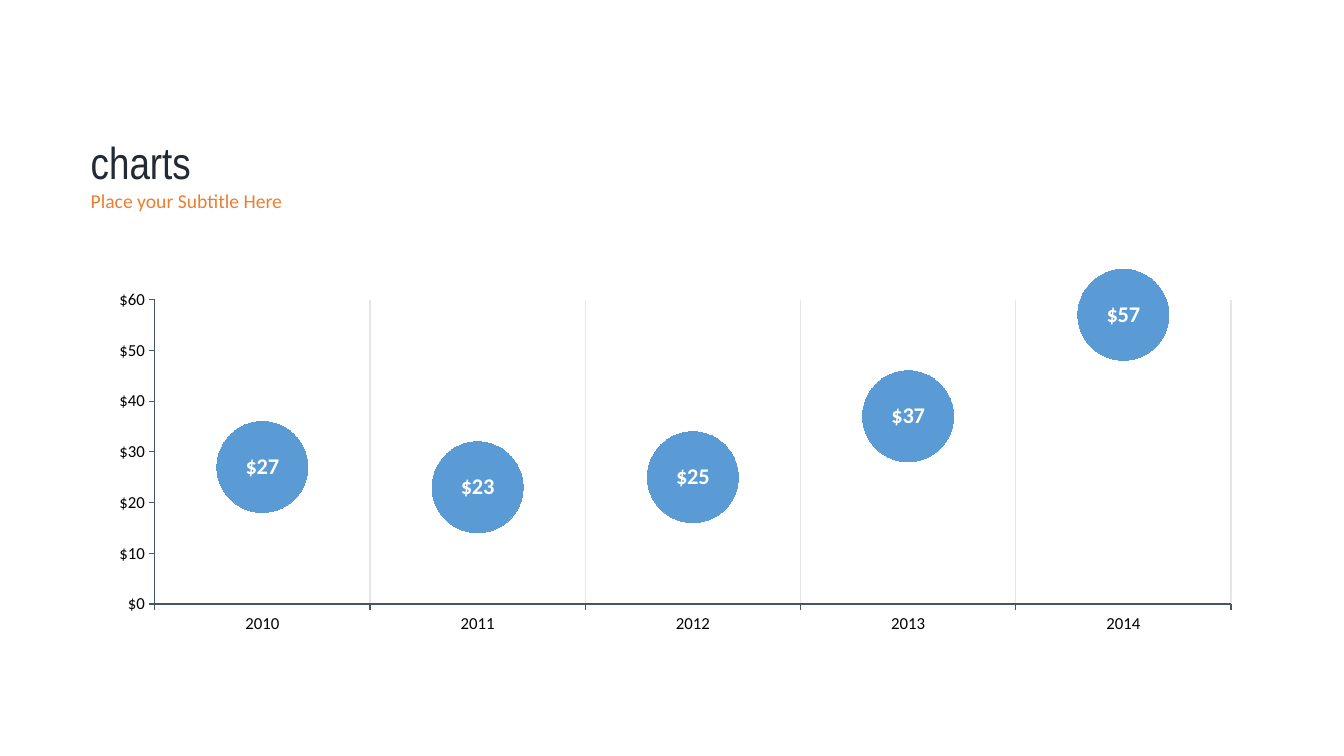
from dataclasses import dataclass

from lxml.etree import SubElement
from pptx import Presentation
from pptx.chart.data import CategoryChartData
from pptx.dml.color import RGBColor
from pptx.enum.chart import XL_CHART_TYPE as ChartType
from pptx.enum.chart import XL_LABEL_POSITION as LabelPosition
from pptx.enum.chart import XL_MARKER_STYLE as MarkerStyle
from pptx.enum.chart import XL_TICK_MARK as TickMark
from pptx.enum.text import MSO_ANCHOR as Anchor
from pptx.enum.text import MSO_AUTO_SIZE as AutoSize
from pptx.enum.text import PP_ALIGN as Align
from pptx.oxml.ns import qn
from pptx.util import Inches, Pt


@dataclass(frozen=True)
class Theme:
    heading_font: str = "Arial Narrow"
    body_font: str = "Calibri"
    heading: str = "222A35"
    accent: str = "ED7D31"
    bubble: str = "5B9BD5"
    axis: str = "44546A"
    grid: str = "E7E6E6"
    ink: str = "000000"
    paper: str = "FFFFFF"
    title_size: int = 32
    subtitle_size: int = 14
    chart_size: int = 18
    label_size: int = 16
    tick_size: int = 12
    bubble_size: int = 65
    rule: float = 0.75
    money: str = "[$$-C09]#,##0"


class SlideBuilder:
    def __init__(self, deck, theme):
        self.theme = theme
        self.width, self.height = deck.slide_width, deck.slide_height
        self.page = deck.slides.add_slide(deck.slide_layouts[0])

    def area(self, left, top, width, height):
        """Turn percentages of the slide's size into lengths."""
        return (int(self.width * left / 100), int(self.height * top / 100),
                int(self.width * width / 100), int(self.height * height / 100))

    def style(self, font, size, color, name=None, bold=False):
        font.name = name or self.theme.body_font
        font.size = Pt(size)
        font.bold = bold
        font.color.rgb = RGBColor.from_string(color)

    def rule(self, line, color):
        line.color.rgb = RGBColor.from_string(color)
        line.width = Pt(self.theme.rule)

    def heading(self, box, text, area, size, color, font_name):
        box.left, box.top, box.width, box.height = self.area(*area)
        frame = box.text_frame
        frame.word_wrap = True
        frame.auto_size = AutoSize.SHAPE_TO_FIT_TEXT
        frame.vertical_anchor = Anchor.TOP
        para = frame.paragraphs[0]
        para.alignment = Align.LEFT
        para.space_before = Pt(0)
        span = para.add_run()
        span.text = text
        self.style(span.font, size, color, font_name)

    def title(self, text, area):
        self.heading(self.page.shapes.title, text, area, self.theme.title_size,
                     self.theme.heading, self.theme.heading_font)

    def subtitle(self, text, area):
        self.heading(self.page.placeholders[1], text, area, self.theme.subtitle_size,
                     self.theme.accent, self.theme.body_font)

    def axis(self, axis):
        axis.major_tick_mark = TickMark.OUTSIDE
        axis.minor_tick_mark = TickMark.NONE
        self.style(axis.tick_labels.font, self.theme.tick_size, self.theme.ink)
        self.rule(axis.format.line, self.theme.axis)

    def bubbles(self, series):
        """Show a series as large labelled markers without a joining line."""
        series.smooth = False
        series.format.line.fill.background()
        marker = series.marker
        marker.style = MarkerStyle.CIRCLE
        marker.size = self.theme.bubble_size
        marker.format.fill.solid()
        marker.format.fill.fore_color.rgb = RGBColor.from_string(self.theme.bubble)
        marker.format.line.fill.background()
        labels = series.data_labels
        labels.show_value = True
        labels.position = LabelPosition.CENTER
        labels.number_format = self.theme.money
        labels.number_format_is_linked = False
        self.style(labels.font, self.theme.label_size, self.theme.paper, bold=True)

    def plot_area(self, chart, **shares):
        """Fix the inner plot area as shares of the chart's size."""
        plot_area = chart._chartSpace.chart.plotArea
        layout = plot_area.find(qn("c:layout"))
        if layout is None:
            layout = SubElement(plot_area, qn("c:layout"))
            plot_area.insert(0, layout)
        manual = SubElement(layout, qn("c:manualLayout"))
        settings = {"layoutTarget": "inner", "xMode": "edge", "yMode": "edge", **shares}
        for name, value in settings.items():
            SubElement(manual, qn(f"c:{name}")).set("val", str(value))

    def bubble_chart(self, name, points, area, top_value, step):
        data = CategoryChartData(number_format=self.theme.money)
        data.categories = list(points)
        data.add_series(name, list(points.values()))
        chart = self.page.shapes.add_chart(
            ChartType.LINE_MARKERS, *self.area(*area), data).chart
        chart.has_legend = False
        chart.has_title = False
        self.style(chart.font, self.theme.chart_size, self.theme.ink)
        chart.plots[0].vary_by_categories = False

        years, amounts = chart.category_axis, chart.value_axis
        for axis in (years, amounts):
            self.axis(axis)
        years.has_major_gridlines = True
        self.rule(years.major_gridlines.format.line, self.theme.grid)
        amounts.has_major_gridlines = False
        amounts.minimum_scale, amounts.maximum_scale = 0, top_value
        amounts.major_unit = step
        amounts.tick_labels.number_format = self.theme.money
        amounts.tick_labels.number_format_is_linked = False

        self.bubbles(chart.plots[0].series[0])
        self.plot_area(chart, x=0.033, y=0.103, w=0.966, h=0.812)


def main():
    deck = Presentation()
    deck.slide_width, deck.slide_height = Inches(13.33), Inches(7.5)
    slide = SlideBuilder(deck, Theme())
    slide.title("charts", (6, 17.2, 81.47, 8.53))
    slide.subtitle("Place your Subtitle Here", (6, 24.27, 77.04, 4.53))
    sales = {"2010": 27, "2011": 23, "2012": 25, "2013": 37, "2014": 57}
    slide.bubble_chart("Series 1", sales, (8.78, 34.53, 82.9, 49.6), top_value=60, step=10)
    deck.save("out.pptx")


if __name__ == "__main__":
    main()
